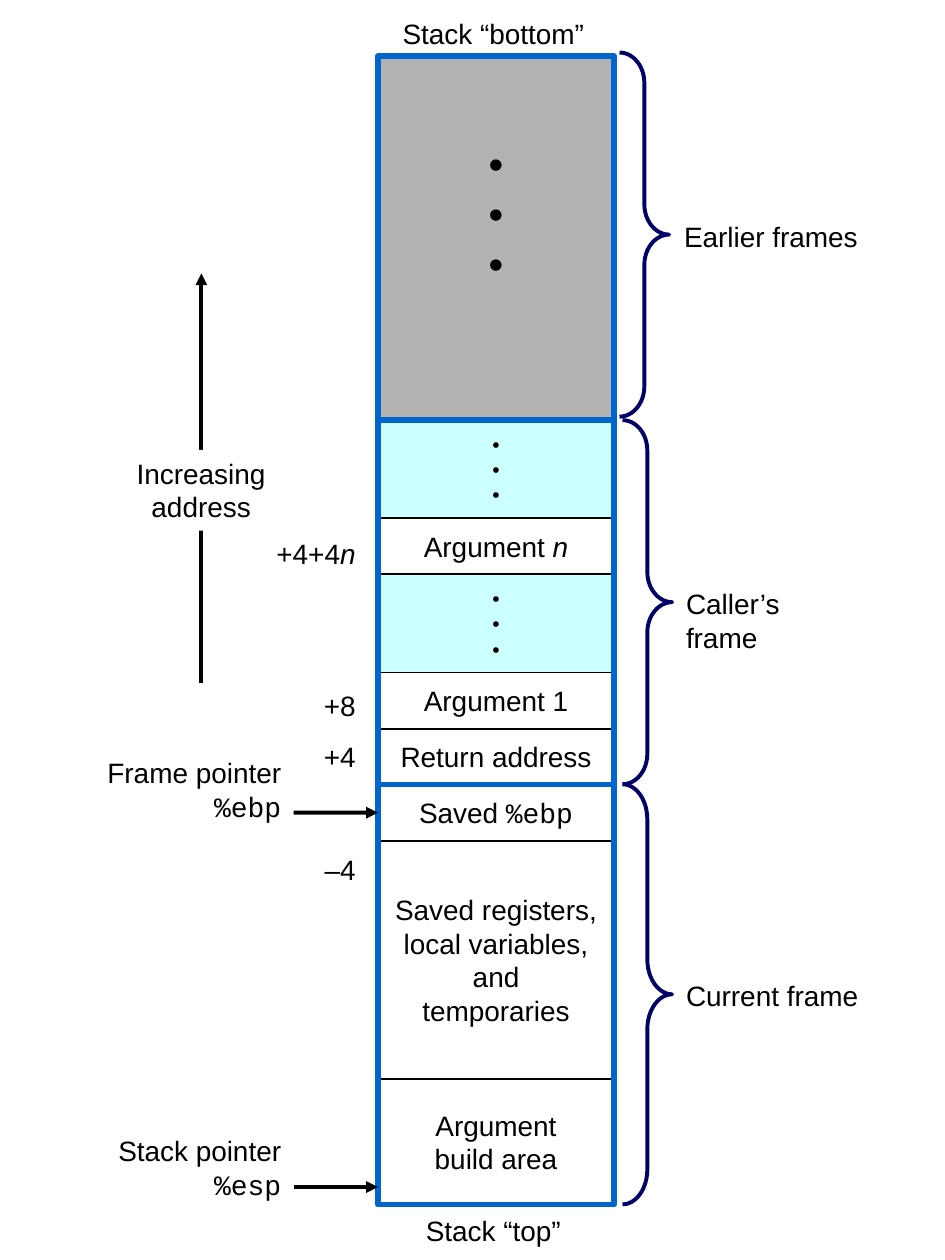
from lxml import etree
from pptx import Presentation
from pptx.dml.color import RGBColor
from pptx.enum.shapes import MSO_CONNECTOR, MSO_SHAPE
from pptx.enum.text import MSO_ANCHOR, MSO_AUTO_SIZE, PP_ALIGN
from pptx.oxml.ns import qn
from pptx.util import Cm, Pt

BLACK = RGBColor(0x00, 0x00, 0x00)
WHITE = RGBColor(0xFF, 0xFF, 0xFF)
GRAY = RGBColor(0xB2, 0xB2, 0xB2)
CYAN = RGBColor(0xCC, 0xFF, 0xFF)
BLUE = RGBColor(0x00, 0x66, 0xCC)
NAVY = RGBColor(0x00, 0x00, 0x66)
LEFT, CENTER, RIGHT = PP_ALIGN.LEFT, PP_ALIGN.CENTER, PP_ALIGN.RIGHT
MIDDLE = MSO_ANCHOR.MIDDLE
GROW = MSO_AUTO_SIZE.SHAPE_TO_FIT_TEXT
RECT, BRACE = MSO_SHAPE.RECTANGLE, MSO_SHAPE.RIGHT_BRACE
STRAIGHT = MSO_CONNECTOR.STRAIGHT

STACK_X, STACK_W = 7.62, 4.76
DOTS = ["•"] * 3


def write(sp, lines, align, size=16, wrap=True):
    """Each line is a string or a list of strings; %names are mono, n is italic."""
    tf = sp.text_frame
    tf.word_wrap = wrap
    for i, line in enumerate(lines):
        p = tf.add_paragraph() if i else tf.paragraphs[0]
        p.alignment = align
        p.font.size = Pt(size)
        p.font.name = "Arial"
        p.font.color.rgb = BLACK
        for text in [line] if isinstance(line, str) else line:
            r = p.add_run()
            r.text = text
            if text.startswith("%"):
                r.font.name = "Courier New"
            elif text == "n":
                r.font.italic = True
    return tf


def add_arrow(shapes, x1, y1, x2, y2):
    line = shapes.add_connector(STRAIGHT, Cm(x1), Cm(y1), Cm(x2), Cm(y2))
    line.line.color.rgb = BLACK
    line.line.width = Pt(2.25)
    ln = line.line._get_or_add_ln()
    etree.SubElement(ln, qn("a:tailEnd"), type="triangle")
    etree.SubElement(line._element.spPr, qn("a:effectLst"))
    return line


prs = Presentation()
prs.slide_width, prs.slide_height = Cm(19.05), Cm(25.4)
s = prs.slides.add_slide(prs.slide_layouts[6])

# Stack frames: cells of height, fill, text size and lines, from the bottom address down
frames = [
    [(7.34, GRAY, 24, DOTS)],
    [
        (1.98, CYAN, 12, DOTS),
        (1.13, WHITE, 16, [["Argument ", "n"]]),
        (1.98, CYAN, 12, DOTS),
        (1.13, WHITE, 16, ["Argument 1"]),
        (1.13, WHITE, 16, ["Return address"]),
    ],
    [
        (1.13, WHITE, 16, [["Saved ", "%ebp"]]),
        (4.8, WHITE, 16, ["Saved registers,", "local variables,", "and", "temporaries"]),
        (2.54, WHITE, 16, ["Argument", "build area"]),
    ],
]
y = 1.13
cells = []
for frame in frames:
    top = y
    for height, fill, size, lines in frame:
        sp = s.shapes.add_shape(RECT, Cm(STACK_X), Cm(y), Cm(STACK_W), Cm(height))
        sp.shadow.inherit = False
        sp.fill.solid()
        sp.fill.fore_color.rgb = fill
        sp.line.color.rgb = BLACK
        sp.line.width = Pt(1)
        tf = write(sp, lines, CENTER, size, wrap=False)
        tf.vertical_anchor = MIDDLE
        cells.append(sp)
        y += height
    # Thick outline round the frame
    sp = s.shapes.add_shape(RECT, Cm(STACK_X), Cm(top), Cm(STACK_W), Cm(y - top))
    sp.shadow.inherit = False
    sp.fill.background()
    sp.line.color.rgb = BLUE
    sp.line.width = Pt(3)

# The dots of the earlier frames sit above the middle
cells[0].text_frame.margin_bottom = Cm(1.15)
saved_ebp = cells[6]

# Braces
for x, top, height in [(12.49, 1.06, 7.34), (12.55, 8.47, 7.34), (12.55, 15.81, 8.47)]:
    sp = s.shapes.add_shape(BRACE, Cm(x), Cm(top), Cm(1), Cm(height))
    sp.adjustments[0] = height / 12
    sp.shadow.inherit = False
    sp.fill.background()
    sp.line.color.rgb = NAVY
    sp.line.width = Pt(2.25)

# Labels: left, top, width, height, alignment, lines
labels = [
    (13.54, 4.31, 4.3, 0.94, LEFT, ["Earlier frames"]),
    (13.58, 11.7, 2.8, 1.63, LEFT, ["Caller’s frame"]),
    (13.58, 19.61, 4.3, 0.94, LEFT, ["Current frame"]),
    (1.62, 15.11, 4.3, 1.63, RIGHT, ["Frame pointer", ["%ebp"]]),
    (1.62, 22.73, 4.3, 1.63, RIGHT, ["Stack pointer", ["%esp"]]),
    (7.62, 0.2, 4.65, 0.94, CENTER, ["Stack “bottom”"]),
    (7.62, 24.33, 4.65, 0.94, CENTER, ["Stack “top”"]),
    (4.88, 10.7, 2.54, 0.94, RIGHT, [["+4+4", "n"]]),
    (5.51, 13.76, 1.91, 0.94, RIGHT, ["+8"]),
    (5.51, 14.78, 1.91, 0.94, RIGHT, ["+4"]),
    (5.51, 17.07, 1.91, 0.94, RIGHT, ["–4"]),
]
for left, top, width, height, align, lines in labels:
    sp = s.shapes.add_textbox(Cm(left), Cm(top), Cm(width), Cm(height))
    write(sp, lines, align).auto_size = GROW

# Pointer arrows
arrow = add_arrow(s.shapes, 5.92, 16.38, STACK_X, 16.38)
arrow.end_connect(saved_ebp, 1)
add_arrow(s.shapes, 5.92, 23.93, STACK_X, 23.93)

# Address direction: arrow with its label on top
group = s.shapes.add_group_shape()
add_arrow(group.shapes, 4.06, 13.77, 4.06, 5.51)
sp = group.shapes.add_textbox(Cm(2.34), Cm(9.07), Cm(3.43), Cm(1.63))
sp.fill.solid()
sp.fill.fore_color.rgb = WHITE
write(sp, ["Increasing", "address"], CENTER).auto_size = GROW

prs.save("out.pptx")
